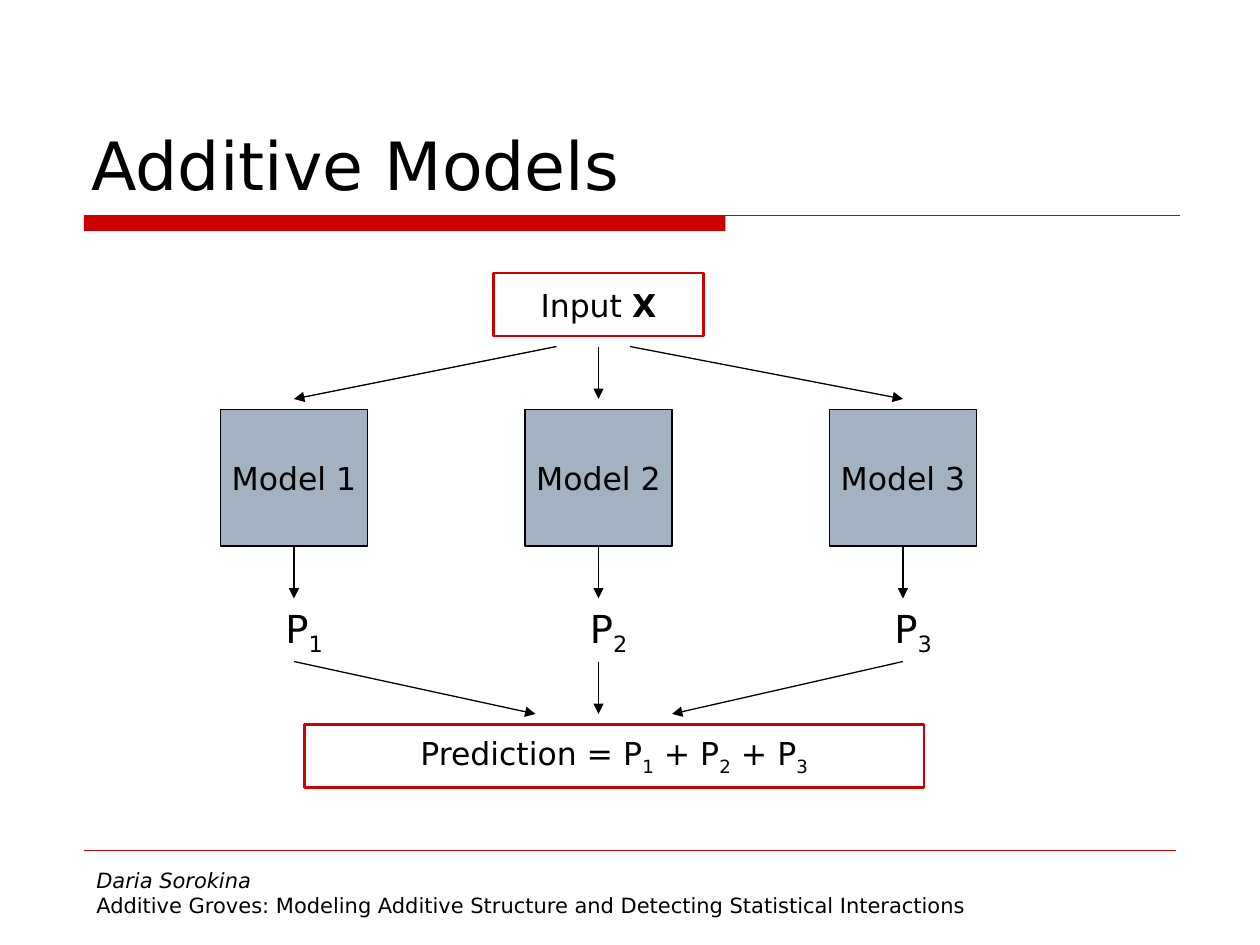
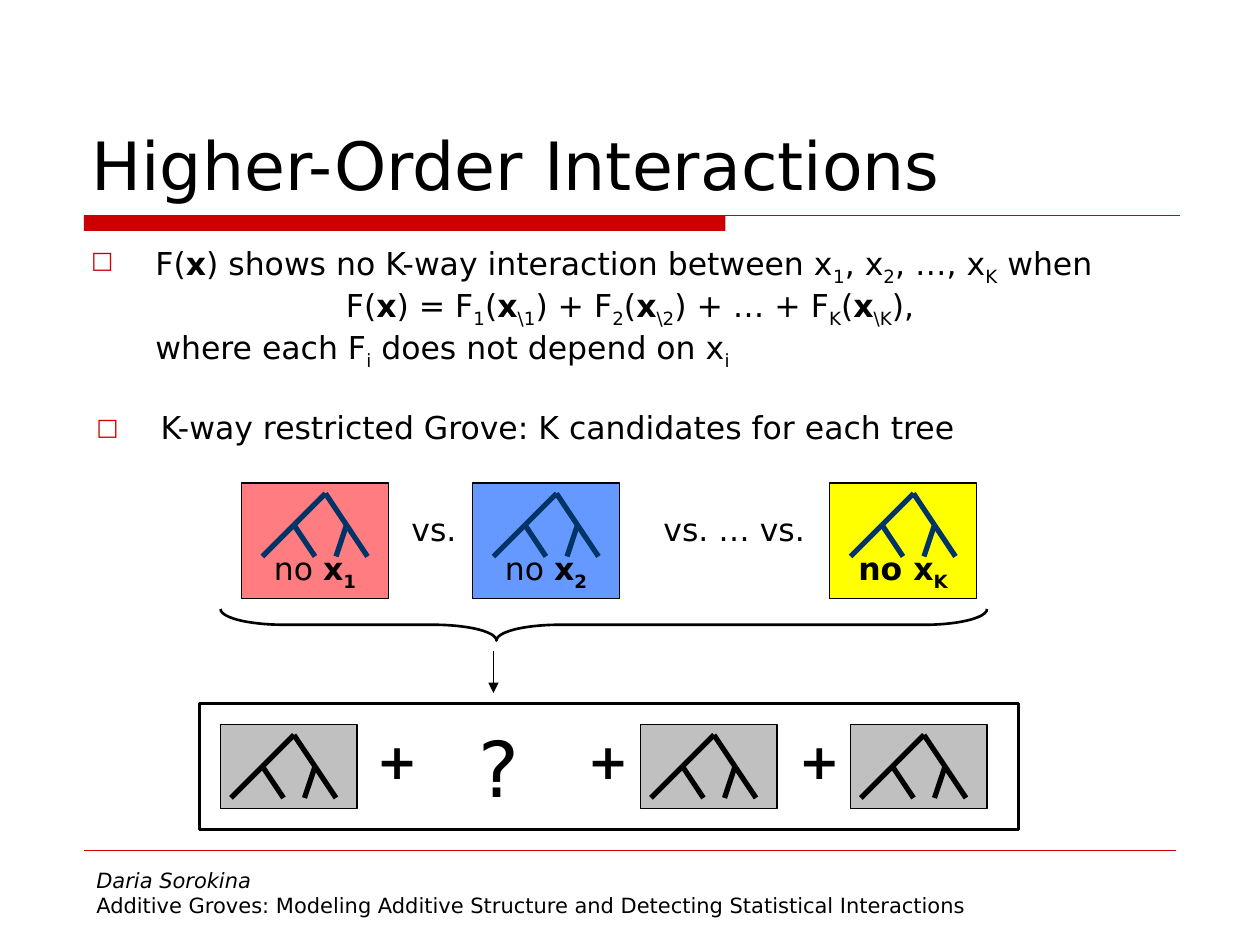
"""Build two slides on additive models and higher-order interactions."""
from typing import NamedTuple, Optional

from lxml.etree import SubElement
from pptx import Presentation
from pptx.dml.color import RGBColor
from pptx.enum.shapes import MSO_CONNECTOR, MSO_SHAPE
from pptx.enum.text import MSO_ANCHOR as Anchor
from pptx.enum.text import MSO_AUTO_SIZE as AutoSize
from pptx.enum.text import PP_ALIGN as Align
from pptx.oxml.ns import qn
from pptx.util import Inches, Pt

FONT = "DejaVu Sans"
BLACK = RGBColor(0x00, 0x00, 0x00)
WHITE = RGBColor(0xFF, 0xFF, 0xFF)
RED = RGBColor(0xCC, 0x00, 0x00)
STEEL = RGBColor(0xA3, 0xB2, 0xC1)
SALMON = RGBColor(0xFF, 0x7C, 0x80)
BLUE = RGBColor(0x66, 0x99, 0xFF)
YELLOW = RGBColor(0xFF, 0xFF, 0x00)
NAVY = RGBColor(0x00, 0x33, 0x66)
SILVER = RGBColor(0xC0, 0xC0, 0xC0)

COLUMNS, ROWS = 120, 90
WIDTH, HEIGHT = Inches(10), Inches(7.5)
AUTHOR = "Daria Sorokina"
TALK = "Additive Groves: Modeling Additive Structure and Detecting Statistical Interactions"
HANGING = Inches(0.51)
TREE_EDGES = (
    ((0, 0), (-3, 3)),
    ((0, 0), (2, 3)),
    ((2, 3), (1, 6)),
    ((2, 3), (4, 6)),
    ((-3, 3), (-6, 6)),
    ((-3, 3), (-1, 6)),
)


class Area(NamedTuple):
    """Left, top, width and height in grid columns and rows."""

    left: float
    top: float
    width: float
    height: float


class Box(NamedTuple):
    """A shape with its outline, fill and optional label."""

    area: Area
    label: str = ""
    fill: Optional[RGBColor] = None
    line: Optional[RGBColor] = BLACK
    weight: float = 0.75
    anchor: Anchor = Anchor.MIDDLE
    preset: MSO_SHAPE = MSO_SHAPE.RECTANGLE


class Label(NamedTuple):
    """Free text of one paragraph."""

    area: Area
    text: str
    size: float = 18
    align: Align = Align.LEFT


class Line(NamedTuple):
    """A straight line between two grid points."""

    start: tuple
    end: tuple
    color: RGBColor = BLACK
    weight: float = 0.75
    arrow: bool = False


def column(count: float) -> int:
    """Turn grid columns into a length."""
    return round(WIDTH * count / COLUMNS)


def row(count: float) -> int:
    """Turn grid rows into a length."""
    return round(HEIGHT * count / ROWS)


def place(area: Area) -> tuple:
    """Turn a grid area into left, top, width and height."""
    return column(area.left), row(area.top), column(area.width), row(area.height)


def write(paragraph, markup: str, size: float, italic: bool = False) -> None:
    """Write runs parted by bars, where * marks bold and _ a subscript."""
    for piece in markup.split("|"):
        bold = piece.startswith("*")
        piece = piece.removeprefix("*")
        run = paragraph.add_run()
        run.text = piece.removeprefix("_")
        font = run.font
        font.name, font.size, font.bold, font.italic = FONT, Pt(size), bold, italic
        font.color.rgb = BLACK
        if piece.startswith("_"):
            run._r.get_or_add_rPr().set("baseline", "-25000")


def add_box(slide, box: Box):
    """Draw a shape and centre its label."""
    shape = slide.shapes.add_shape(box.preset, *place(box.area))
    shape.shadow.inherit = False
    if box.fill is None:
        shape.fill.background()
    else:
        shape.fill.solid()
        shape.fill.fore_color.rgb = box.fill
    if box.line is None:
        shape.line.fill.background()
    else:
        shape.line.color.rgb = box.line
        shape.line.width = Pt(box.weight)
    if box.label:
        text_frame = shape.text_frame
        text_frame.word_wrap = False
        text_frame.vertical_anchor = box.anchor
        text_frame.paragraphs[0].alignment = Align.CENTER
        write(text_frame.paragraphs[0], box.label, 18)
    return shape


def add_line(slide, line: Line) -> None:
    """Draw a line, with an arrowhead if asked."""
    (left, top), (right, bottom) = line.start, line.end
    connector = slide.shapes.add_connector(
        MSO_CONNECTOR.STRAIGHT, column(left), row(top), column(right), row(bottom)
    )
    connector.line.color.rgb = line.color
    connector.line.width = Pt(line.weight)
    properties = connector._element.spPr
    if line.arrow:
        SubElement(properties.find(qn("a:ln")), qn("a:tailEnd"), type="triangle")
    SubElement(properties, qn("a:effectLst"))


def add_text_frame(slide, area: Area):
    """Add a wrapping text box and return its text frame."""
    text_frame = slide.shapes.add_textbox(*place(area)).text_frame
    text_frame.word_wrap = True
    return text_frame


def add_label(slide, label: Label) -> None:
    """Draw free text of one paragraph."""
    paragraph = add_text_frame(slide, label.area).paragraphs[0]
    paragraph.alignment = label.align
    write(paragraph, label.text, label.size)


def add_bullet(paragraph) -> None:
    """Give a paragraph a hanging red square."""
    properties = paragraph._p.get_or_add_pPr()
    properties.set("indent", str(-HANGING))
    color = SubElement(properties, qn("a:buClr"))
    SubElement(color, qn("a:srgbClr"), val=str(RED))
    SubElement(properties, qn("a:buSzPct"), val="75000")
    SubElement(properties, qn("a:buFont"), typeface=FONT)
    SubElement(properties, qn("a:buChar"), char="□")


def add_body(slide, area: Area, lines: list) -> None:
    """Write a bulleted line followed by centred or indented ones."""
    text_frame = add_text_frame(slide, area)
    for index, (markup, align) in enumerate(lines):
        paragraph = text_frame.add_paragraph() if index else text_frame.paragraphs[0]
        paragraph.alignment = align
        paragraph.line_spacing = 0.8
        if index:
            paragraph.space_before = Pt(4.5)
        if align == Align.LEFT:
            paragraph._p.get_or_add_pPr().set("marL", str(HANGING))
        if index == 0:
            add_bullet(paragraph)
        write(paragraph, markup, 18)


def add_tree(slide, apex: tuple, color: RGBColor) -> None:
    """Draw a small decision tree below its apex."""
    left, top = apex
    for (x1, y1), (x2, y2) in TREE_EDGES:
        add_line(slide, Line((left + x1, top + y1), (left + x2, top + y2), color, 3))


def add_titled_slide(presentation, title: str):
    """Add a slide with the title, the red band and the footer."""
    slide = presentation.slides.add_slide(presentation.slide_layouts[5])
    add_box(slide, Box(Area(8, 20.5, 61.1, 1.5), fill=RED, line=None))
    add_line(slide, Line((8, 20.5), (112.4, 20.5), RED))
    add_line(slide, Line((8, 81), (112, 81), RED, 0.25))
    footer = add_text_frame(slide, Area(8, 82, 96, 6.2))
    write(footer.paragraphs[0], AUTHOR, 12, italic=True)
    write(footer.add_paragraph(), TALK, 12)
    heading = slide.shapes.title
    heading.left, heading.top, heading.width, heading.height = place(Area(7.5, 4, 105, 16))
    text_frame = heading.text_frame
    text_frame.auto_size = AutoSize.NONE
    text_frame.vertical_anchor = Anchor.BOTTOM
    text_frame.paragraphs[0].alignment = Align.LEFT
    write(text_frame.paragraphs[0], title, 38)
    return slide


def build_additive_models(presentation) -> None:
    """Show three models whose predictions are summed."""
    slide = add_titled_slide(presentation, "Additive Models")
    fan_out, fan_in = (53, 57, 60), (51, 57, 64)
    for index in range(3):
        left = 21 + 29 * index
        center = left + 7
        add_box(slide, Box(Area(left, 39, 14, 13), f"Model {index + 1}", STEEL))
        add_label(slide, Label(Area(left + 5, 57, 8, 6.2), f"P|_{index + 1}", 22))
        for start, end in (
            ((fan_out[index], 33), (center, 38)),
            ((center, 52), (center, 57)),
            ((center, 63), (fan_in[index], 68)),
        ):
            add_line(slide, Line(start, end, arrow=True))
    add_box(slide, Box(Area(47, 26, 20, 6), "Input |*X", WHITE, RED, 1.5))
    prediction = "Prediction = P|_1| + P|_2| + P|_3"
    add_box(slide, Box(Area(29, 69, 59, 6), prediction, WHITE, RED, 1.5))


def build_interactions(presentation) -> None:
    """Show how restricted trees compete for a place in the grove."""
    slide = add_titled_slide(presentation, "Higher-Order Interactions")
    add_body(slide, Area(7.5, 23, 105, 13), [
        ("F(|*x|) shows no K-way interaction between x|_1|, x|_2|, …, x|_K| when", Align.LEFT),
        ("F(|*x|) = F|_1|(|*x|_\\1|) + F|_2|(|*x|_\\2|) + … + F|_K|(|*x|_\\K|),", Align.CENTER),
        ("where each F|_i| does not depend on x|_i", Align.LEFT),
    ])
    add_body(slide, Area(8, 39, 105, 6), [
        ("K-way restricted Grove: K candidates for each tree", Align.LEFT),
    ])
    for left, label, fill in (
        (23, "no| |*x|*_1", SALMON),
        (45, "no| |*x|*_2", BLUE),
        (79, "*no x|*_K", YELLOW),
    ):
        add_box(slide, Box(Area(left, 46, 14, 11), label, fill, anchor=Anchor.BOTTOM))
        add_tree(slide, (left + 8, 47), NAVY)
    add_label(slide, Label(Area(38, 48, 8, 4.8), "vs."))
    add_label(slide, Label(Area(62, 48, 16, 4.8), "vs. … vs."))

    brace = add_box(slide, Box(Area(56, 23, 3, 73), weight=1.5, preset=MSO_SHAPE.RIGHT_BRACE))
    brace.rotation = 90
    brace.adjustments[0], brace.adjustments[1] = 2, 0.64
    add_line(slide, Line((47, 62), (47, 66), arrow=True))

    for left in (21, 61, 81):
        add_box(slide, Box(Area(left, 69, 13, 8), fill=SILVER))
        add_tree(slide, (left + 7, 70), BLACK)
    for index in range(3):
        add_label(slide, Label(Area(34.7 + 20.1 * index, 69, 6, 6.8), "*+", 28, Align.CENTER))
    add_box(slide, Box(Area(19, 67, 78, 12), weight=1.5))
    add_label(slide, Label(Area(43, 68, 9, 10), "?", 44, Align.CENTER))


def main() -> None:
    """Build and save the presentation."""
    presentation = Presentation()
    presentation.slide_width, presentation.slide_height = WIDTH, HEIGHT
    build_additive_models(presentation)
    build_interactions(presentation)
    presentation.save("out.pptx")


if __name__ == "__main__":
    main()
